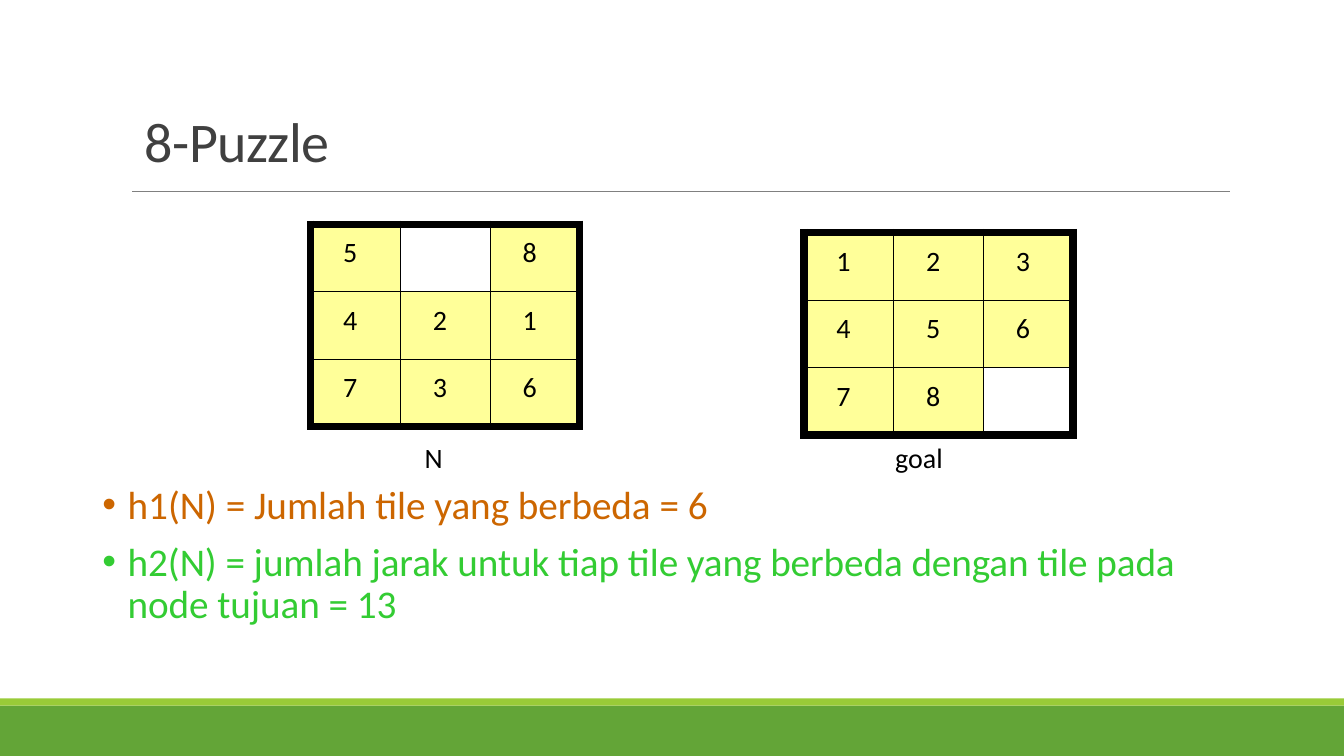
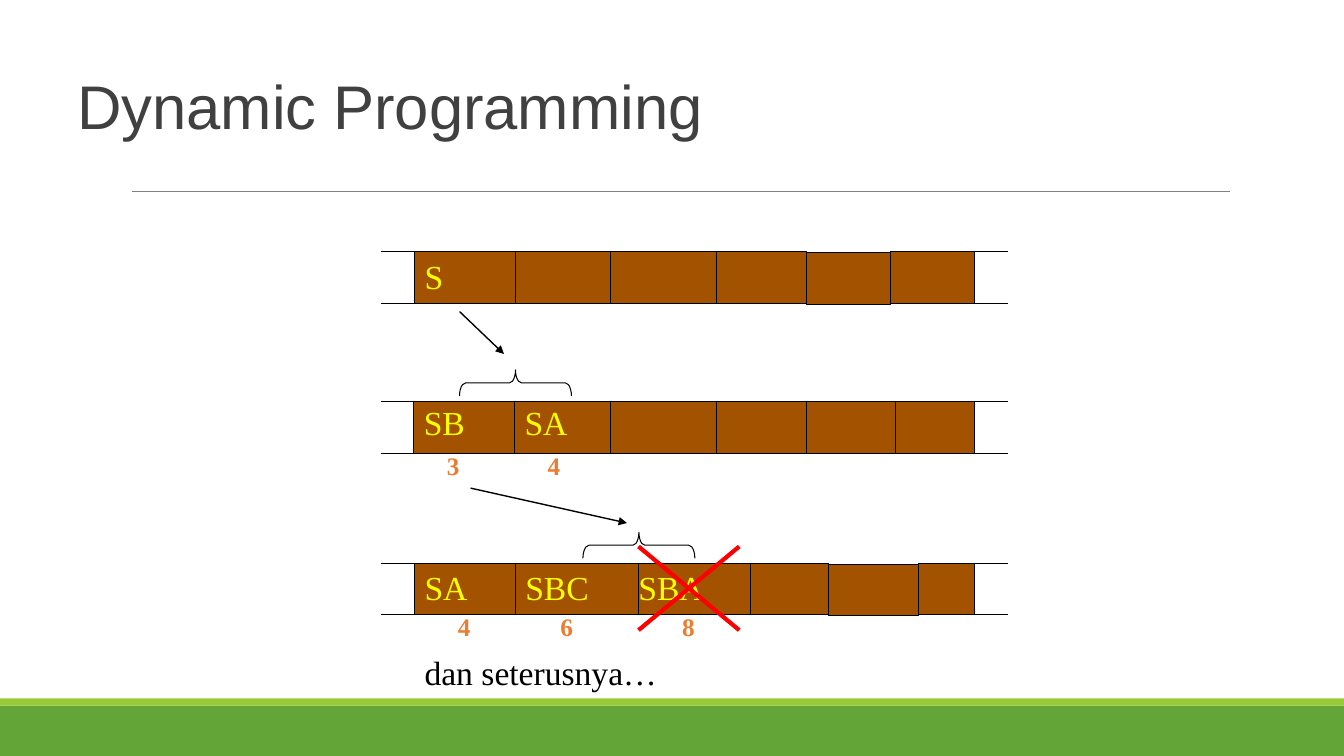
"""Build two slides on search: an 8-puzzle heuristic and a dynamic programming queue."""
from dataclasses import dataclass
from itertools import pairwise

from lxml import etree
from pptx import Presentation
from pptx.dml.color import RGBColor
from pptx.enum import shapes, text
from pptx.oxml import ns
from pptx.util import Cm, Pt


@dataclass(frozen=True)
class Theme:
    """Colours, fonts and type sizes."""
    band: str = "63A537"
    trim: str = "99CB38"
    rule: str = "808080"
    head: str = "404040"
    ink: str = "000000"
    tile: str = "FFFF99"
    cell: str = "A35200"
    label: str = "FFFF00"
    score: str = "EC7C30"
    cross: str = "FF0000"
    first: str = "CC6600"
    second: str = "33CC33"
    sans: str = "Calibri"
    plain: str = "Arial"
    serif: str = "Times New Roman"
    small: int = 18
    note: int = 20
    mid: int = 24
    body: int = 28
    main: int = 40
    large: int = 44
    thin: float = 0.75
    thick: float = 6


T = Theme()
MID = text.MSO_ANCHOR.MIDDLE
TOP = text.MSO_ANCHOR.TOP
LEFT = text.PP_ALIGN.LEFT
WIDE = 33.87
TALL = 19.05
HIGH = 1.3


def sub(node, tag, **attrs):
    """Append a drawing element to a node."""
    return etree.SubElement(node, ns.qn(tag), **attrs)


def write(par, words, size, color, font, bold=False, track=0):
    """Add one run of text to a paragraph."""
    run = par.add_run()
    run.text = words
    run.font.size = Pt(size)
    run.font.name = font
    run.font.bold = bold
    run.font.color.rgb = RGBColor.from_string(color)
    if track:
        run.font._element.set("spc", str(track))


def pad(item, left=0, top=0, bottom=0):
    """Set the margins of a frame or a table cell."""
    item.margin_left, item.margin_top = Cm(left), Cm(top)
    item.margin_right, item.margin_bottom = 0, Cm(bottom)


def box(slide, x, y, w, h, anchor=TOP, align=LEFT):
    """Add a text box and return its frame."""
    frame = slide.shapes.add_textbox(Cm(x), Cm(y), Cm(w), Cm(h)).text_frame
    frame.word_wrap = True
    frame.vertical_anchor = anchor
    frame.paragraphs[0].alignment = align
    pad(frame)
    return frame


def line(slide, x1, y1, x2, y2, color=T.ink, width=T.thin, arrow=False):
    """Draw a straight line, with an arrowhead on request."""
    rod = slide.shapes.add_connector(
        shapes.MSO_CONNECTOR.STRAIGHT, Cm(x1), Cm(y1), Cm(x2), Cm(y2))
    rod.line.color.rgb = RGBColor.from_string(color)
    rod.line.width = Pt(width)
    if arrow:
        sub(rod.line._get_or_add_ln(), "a:tailEnd", type="triangle")
    sub(rod._element.spPr, "a:effectLst")


def shape(slide, kind, x, y, w, h, fill=None, edge=None):
    """Add a preset shape with an optional fill and outline."""
    form = slide.shapes.add_shape(kind, Cm(x), Cm(y), Cm(w), Cm(h))
    form.shadow.inherit = False
    if fill:
        form.fill.solid()
        form.fill.fore_color.rgb = RGBColor.from_string(fill)
    else:
        form.fill.background()
    if edge:
        form.line.color.rgb = RGBColor.from_string(edge)
        form.line.width = Pt(T.thin)
    else:
        form.line.fill.background()
    return form


def rect(slide, *place, **look):
    """Add a rectangle."""
    return shape(slide, shapes.MSO_SHAPE.RECTANGLE, *place, **look)


def brace(slide, x, y, w=2.82, h=0.66):
    """Add a curly brace that points up."""
    form = shape(slide, shapes.MSO_SHAPE.LEFT_BRACE,
                 x + (w - h) / 2, y + (h - w) / 2, h, w, edge=T.ink)
    form.adjustments[0] = 0.23
    form.rotation = 90


def start(deck):
    """Add a blank slide with the shared bands and rule."""
    slide = deck.slides.add_slide(deck.slide_layouts[6])
    rect(slide, 0, 17.78, WIDE, TALL - 17.78, fill=T.band)
    rect(slide, 0, 17.6, WIDE, 0.18, fill=T.trim)
    line(slide, 3.33, 4.83, 31, 4.83, T.rule, 0.5)
    return slide


def title(slide, x, y, h, runs, size, font):
    """Add the slide title from (words, tracking) runs."""
    par = box(slide, x, y, 25, h, text.MSO_ANCHOR.BOTTOM).paragraphs[0]
    for words, track in runs:
        write(par, words, size, T.head, font, track=track)


def border(cell, **sides):
    """Set cell borders by side (L, R, T, B); zero means none."""
    props = cell._tc.get_or_add_tcPr()
    for spot, (side, width) in enumerate(sides.items()):
        edge = etree.Element(ns.qn(f"a:ln{side}"), w=str(int(Pt(width))))
        if width:
            sub(sub(edge, "a:solidFill"), "a:srgbClr", val=T.ink)
        else:
            sub(edge, "a:noFill")
        props.insert(spot, edge)


def table(slide, x, y, cols, rows):
    """Add an unstyled table with the given widths and heights."""
    grid = slide.shapes.add_table(len(rows), len(cols), Cm(x), Cm(y),
                                  Cm(sum(cols)), Cm(sum(rows))).table
    grid.first_row = grid.horz_banding = False
    for col, w in zip(grid.columns, cols):
        col.width = Cm(w)
    for row, h in zip(grid.rows, rows):
        row.height = Cm(h)
    return grid


def paint(cell, fill):
    """Fill a cell, or leave it clear."""
    if fill:
        cell.fill.solid()
        cell.fill.fore_color.rgb = RGBColor.from_string(fill)
    else:
        cell.fill.background()


def board(slide, x, y, tiles):
    """Add a 3 by 3 puzzle board; a space marks the gap."""
    grid = table(slide, x, y, [2.26] * 3, [1.7] * 3)
    for n, tile in enumerate(tiles):
        r, c = divmod(n, 3)
        cell = grid.cell(r, c)
        pad(cell, 0.82, 0.3)
        paint(cell, T.tile if tile.strip() else None)
        if tile.strip():
            write(cell.text_frame.paragraphs[0], tile, T.note, T.ink, T.sans)
        border(cell, L=T.thin if c else T.thick,
               R=T.thin if c < 2 else T.thick,
               T=T.thin if r else T.thick,
               B=T.thin if r < 2 else T.thick)


def bullet(par, words, color, track):
    """Write a bulleted paragraph."""
    props = par._p.get_or_add_pPr()
    props.set("marL", str(Cm(0.66)))
    props.set("indent", str(-Cm(0.64)))
    sub(props, "a:buFont", typeface="Arial")
    sub(props, "a:buChar", char="•")
    write(par, words, T.body, color, T.sans, track=track)


def queue(slide, y, edges, labels):
    """Draw a queue of boxes with open ends."""
    spans = list(enumerate(pairwise(edges)))
    for n, (x1, x2) in reversed(spans):
        drop = 0.03 if n == 4 else 0
        form = rect(slide, x1, y + drop, x2 - x1, HIGH, fill=T.cell, edge=T.ink)
        if n < len(labels):
            words, inset = labels[n]
            frame = form.text_frame
            frame.vertical_anchor = MID
            frame.word_wrap = True
            pad(frame, inset, bottom=0.08)
            frame.paragraphs[0].alignment = LEFT
            write(frame.paragraphs[0], words, T.mid, T.label, T.serif)
    for x in (9.6, 24.28):
        for level in (y, y + HIGH):
            line(slide, x, level, x + 1.12, level)


def strip(slide, x, y, cols, labels):
    """Draw a queue as a one-row table with open ends."""
    grid = table(slide, x, y, cols, [HIGH])
    last = len(cols) - 1
    for n in range(last + 1):
        cell = grid.cell(0, n)
        pad(cell, 0.25, 0.1)
        paint(cell, T.cell if 0 < n < last else None)
        border(cell, L=T.thin if n else 0, R=T.thin if n < last else 0,
               T=T.thin, B=T.thin)
        if 0 < n <= len(labels):
            write(cell.text_frame.paragraphs[0], labels[n - 1],
                  T.mid, T.label, T.serif)


def puzzle(deck):
    """Build the 8-puzzle slide."""
    slide = start(deck)
    title(slide, 3.64, 2.6, 1.78, [("8-", -10), ("Puzzle", -50)],
          T.main, T.sans)
    board(slide, 7.83, 5.65, "5 8421736")
    board(slide, 20.26, 5.86, "12345678 ")
    for x, name in ((9.66, "N"), (21.89, "goal")):
        frame = box(slide, x, 11.11, 2.54, 0.86, align=text.PP_ALIGN.CENTER)
        write(frame.paragraphs[0], name, T.note, T.ink, T.sans)
    frame = box(slide, 2.56, 12.11, 27.28, 3.7)
    bullet(frame.paragraphs[0], "h1(N) = Jumlah tile yang berbeda = 6",
           T.first, -4)
    par = frame.add_paragraph()
    par.line_spacing = Pt(30.2)
    par.space_before = Pt(10.5)
    bullet(par, "h2(N) = jumlah jarak untuk tiap tile yang berbeda "
           "dengan tile pada node tujuan = 13", T.second, -7)


def dynamic(deck):
    """Build the dynamic programming slide."""
    slide = start(deck)
    title(slide, 1.95, 1.65, 1.93, [("Dynamic Programming", -5)],
          T.large, T.plain)
    queue(slide, 6.34, [10.45, 12.99, 15.39, 18.06, 20.32, 22.45, 24.56],
          [("S", 0.25)])
    strip(slide, 9.59, 10.12,
          [0.84, 2.54, 2.42, 2.67, 2.26, 2.26, 1.98, 0.84], ["SB", "SA"])
    queue(slide, 14.19, [10.45, 12.99, 16.09, 18.91, 20.88, 23.14, 24.56],
          [("SA", 0.25), ("SBC", 0.25), ("SBA", 0)])
    brace(slide, 11.58, 9.32)
    brace(slide, 14.69, 13.41)
    line(slide, 11.58, 7.85, 12.7, 8.92, width=1, arrow=True)
    line(slide, 11.86, 12.3, 15.8, 13.18, width=1, arrow=True)
    for x, y, score in ((11.26, 11.35, "3"), (13.8, 11.35, "4"),
                        (11.54, 15.4, "4"), (14.12, 15.4, "6"),
                        (17.19, 15.4, "8")):
        par = box(slide, x, y, 0.8, 0.8).paragraphs[0]
        write(par, score, T.small, T.score, T.serif, bold=True)
    par = box(slide, 10.7, 16.42, 7, 1.1).paragraphs[0]
    write(par, "dan seterusnya…", T.mid, T.ink, T.serif)
    for y1, y2 in ((13.77, 15.88), (15.88, 13.77)):
        line(slide, 16.09, y1, 18.63, y2, T.cross, 3)


def main():
    """Build and save the deck."""
    deck = Presentation()
    deck.slide_width, deck.slide_height = Cm(WIDE), Cm(TALL)
    puzzle(deck)
    dynamic(deck)
    deck.save("out.pptx")


if __name__ == "__main__":
    main()
